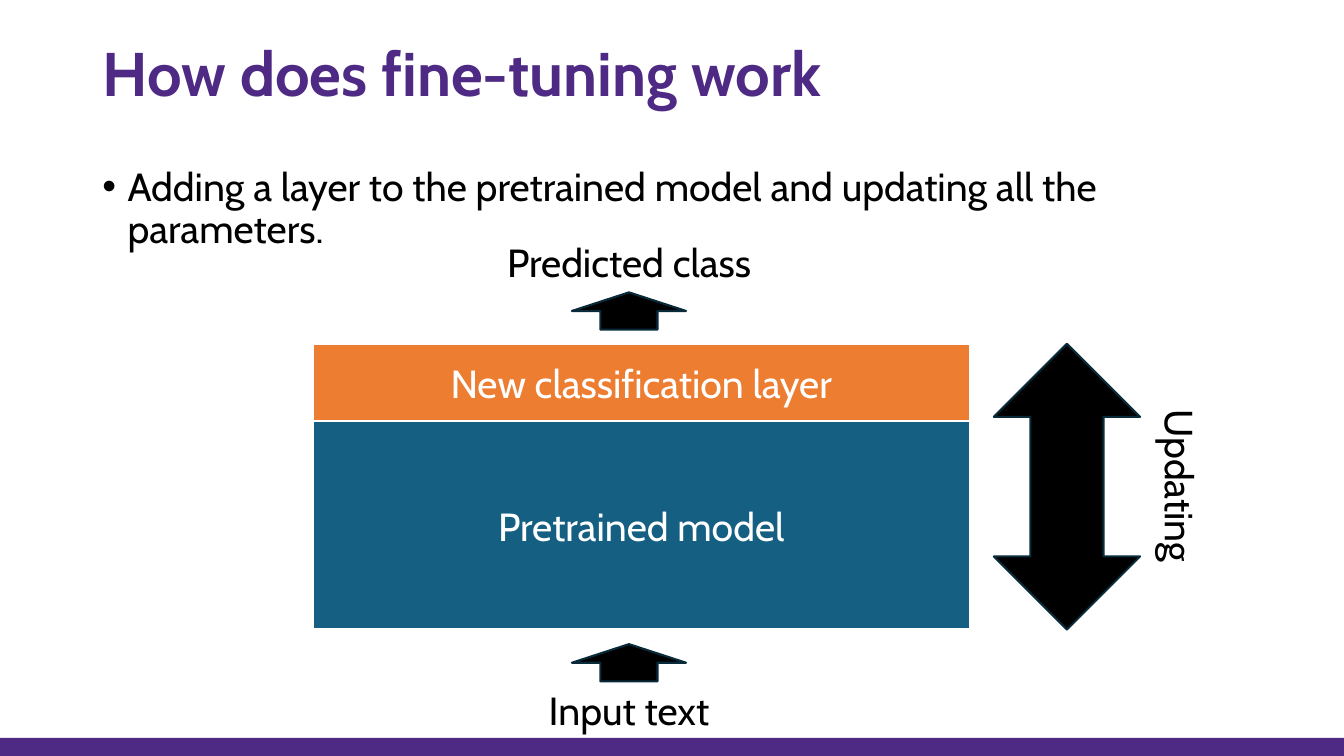
"""Build a slide that shows how fine-tuning updates a pretrained model."""
from lxml.etree import SubElement
from pptx import Presentation
from pptx.dml.color import RGBColor
from pptx.enum.shapes import MSO_SHAPE
from pptx.enum.text import MSO_ANCHOR, PP_ALIGN
from pptx.oxml.ns import qn
from pptx.util import Inches, Pt

THEME = {
    "font": "Cabin", "title_size": Pt(44), "text_size": Pt(28), "line_width": Pt(1.5),
    "purple": RGBColor.from_string("4E2A84"), "black": RGBColor.from_string("000000"),
    "white": RGBColor.from_string("FFFFFF"), "blue": RGBColor.from_string("156082"),
    "orange": RGBColor.from_string("ED7D31"), "navy": RGBColor.from_string("092A39"),
}

deck = Presentation()
deck.slide_width, deck.slide_height = Inches(13.33), Inches(7.5)
column, row = deck.slide_width / 100, deck.slide_height / 100
slide = deck.slides.add_slide(deck.slide_layouts[6])


def draw(kind, left, top, width, height, fill=None, line=None):
    """Add a preset shape, or a text box if kind is None, on the 100 by 100 grid."""
    box = [int(left * column), int(top * row), int(width * column), int(height * row)]
    if kind is None:
        return slide.shapes.add_textbox(*box)
    shape = slide.shapes.add_shape(kind, *box)
    shape.shadow.inherit = False
    shape.fill.solid()
    shape.fill.fore_color.rgb = THEME[fill]
    if line:
        shape.line.color.rgb = THEME[line]
        shape.line.width = THEME["line_width"]
    else:
        shape.line.fill.background()
    return shape


def write(shape, text, color="black", size="text_size", bold=False,
          align=PP_ALIGN.CENTER, anchor=MSO_ANCHOR.TOP):
    """Put one styled paragraph into a shape and return it."""
    frame = shape.text_frame
    frame.word_wrap, frame.vertical_anchor = True, anchor
    paragraph = frame.paragraphs[0]
    paragraph.alignment = align
    run = paragraph.add_run()
    run.text = text
    run.font.color.rgb = THEME[color]
    for name, value in {"name": THEME["font"], "size": THEME[size], "bold": bold}.items():
        setattr(run.font, name, value)
    return paragraph


draw(MSO_SHAPE.RECTANGLE, 0, 97.6, 100, 2.4, "purple")

margin, content_width = 6.88, 86.25
title = write(draw(None, margin, 3.6, content_width, 13.07), "How does fine-tuning work",
              "purple", "title_size", True, PP_ALIGN.LEFT, MSO_ANCHOR.MIDDLE)
summary = write(draw(None, margin, 21.47, content_width, 68.53),
                "Adding a layer to the pretrained model and updating all the parameters.",
                align=PP_ALIGN.LEFT)
title.line_spacing = summary.line_spacing = 0.9
summary.space_before = Pt(10)
bullet_format = summary._p.get_or_add_pPr()
for name, value in {"marL": Inches(0.25), "indent": -Inches(0.25)}.items():
    bullet_format.set(name, str(value))
SubElement(bullet_format, qn("a:buFont")).set("typeface", "Arial")
SubElement(bullet_format, qn("a:buChar")).set("char", "•")

stack_left, stack_width, stack_top, stack_height = 23.25, 48.9, 45.47, 37.8
new_layer_height = 10.27
layers = [
    ("Pretrained model", "blue", stack_top + new_layer_height, stack_height - new_layer_height),
    ("New classification layer", "orange", stack_top, new_layer_height),
]
for label, color, top, height in layers:
    layer = draw(MSO_SHAPE.RECTANGLE, stack_left, top, stack_width, height, color, "white")
    write(layer, label, "white", anchor=MSO_ANCHOR.MIDDLE)

flow_center, flow_arrow_width, flow_arrow_height = 46.8, 8.5, 4.93
flow = [("Input text", 90.13, 18.6, 85.2), ("Predicted class", 30.93, 21.9, 38.67)]
for label, label_top, label_width, arrow_top in flow:
    write(draw(None, flow_center - label_width / 2, label_top, label_width, 7.6), label)
    draw(MSO_SHAPE.UP_ARROW, flow_center - flow_arrow_width / 2, arrow_top,
         flow_arrow_width, flow_arrow_height, "black", "navy")

updating = draw(None, 77.25, 60.4, 21.08, 7.73)
updating.rotation = 90
write(updating, "Updating")
draw(MSO_SHAPE.UP_DOWN_ARROW, 73.95, stack_top, 10.88, stack_height, "black", "navy")

deck.save("out.pptx")
